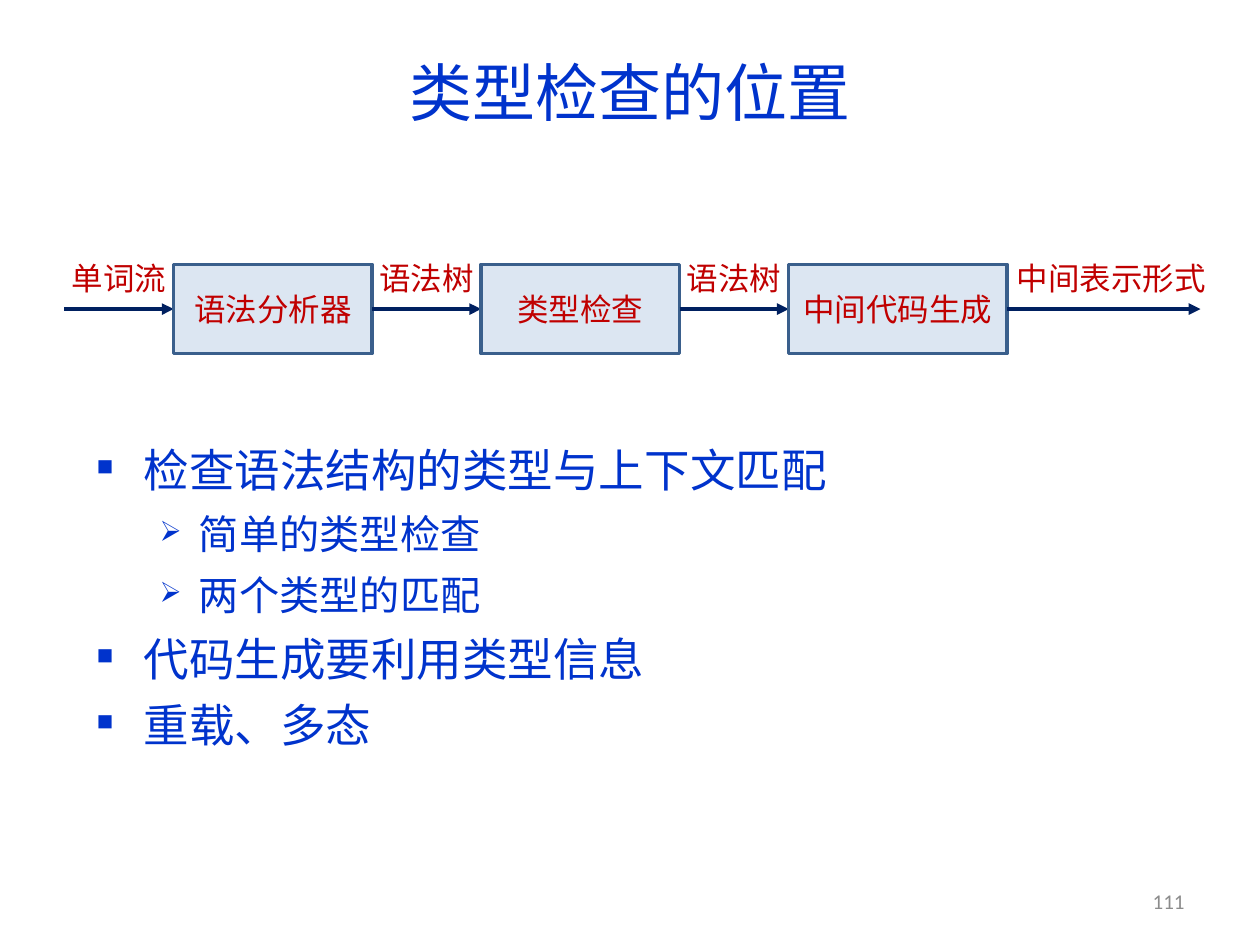
from lxml.etree import SubElement as Sub
from pptx import Presentation
from pptx.dml.color import RGBColor
from pptx.enum.shapes import MSO_CONNECTOR as Link, MSO_SHAPE as Shape
from pptx.enum.text import MSO_ANCHOR as Anchor, PP_ALIGN as Align
from pptx.oxml.ns import qn
from pptx.util import Cm, Pt

SANS = "Noto Sans CJK SC"
BLUE, RED, NAVY = "0033CC", "C00000", "002060"


def paint(item, hue):
    """Give a font colour or a solid fill its hex colour."""
    item.rgb = RGBColor.from_string(hue)


def add_run(para, text, size, hue, face=SANS):
    """Add one run with the same Latin and East Asian face."""
    run = para.add_run()
    run.text = text
    run.font.size = Pt(size)
    run.font.name = face
    paint(run.font.color, hue)
    Sub(run.font._element, qn("a:ea"), typeface=face)


def set_frame(shape, wrap=True, anchor=Anchor.MIDDLE):
    """Set up the text frame of a shape and return it."""
    frame = shape.text_frame
    frame.word_wrap = wrap
    frame.vertical_anchor = anchor
    return frame


def add_line(slide, box, text, size, hue, face=SANS, align=Align.CENTER, wrap=True):
    """Place one line of text in a box."""
    area = slide.shapes.add_textbox(*map(Cm, box))
    para = set_frame(area, wrap).paragraphs[0]
    para.alignment = align
    add_run(para, text, size, hue, face)


def add_stage(slide, box, text):
    """Place one compiler stage."""
    rect = slide.shapes.add_shape(Shape.RECTANGLE, *map(Cm, box))
    rect.shadow.inherit = False
    rect.fill.solid()
    paint(rect.fill.fore_color, "DCE6F2")
    paint(rect.line.color, "3A5F8C")
    rect.line.width = Pt(2)
    para = set_frame(rect, False).paragraphs[0]
    para.alignment = Align.CENTER
    add_run(para, text, 18, RED)


def add_arrow(slide, left, top, width):
    """Draw a level arrow that points right."""
    ends = map(Cm, (left, top, left + width, top))
    arrow = slide.shapes.add_connector(Link.STRAIGHT, *ends)
    paint(arrow.line.color, NAVY)
    arrow.line.width = Pt(2.25)
    Sub(arrow.line._get_or_add_ln(), qn("a:tailEnd"), type="triangle")
    Sub(arrow._element.spPr, qn("a:effectLst"))


def add_flow(slide, left, top, high):
    """Lay out arrows, their labels and the stages from left to right."""
    steps = [
        ("单词流", 2.2, 2.6, "语法分析器", 4),
        ("语法树", 2.2, 2.6, "类型检查", 4),
        ("语法树", 2.2, 2.6, "中间代码生成", 4.4),
        ("中间表示形式", 3.9, 4.6, None, 0),
    ]
    for label, gap, room, stage, width in steps:
        add_arrow(slide, left, top + high / 2, gap)
        add_line(slide, (left - 0.2, top - 0.33, room, 1.2), label, 18, RED, wrap=False)
        left += gap
        if stage:
            add_stage(slide, (left, top, width, high), stage)
        left += width


def add_points(slide, box):
    """Write the two-level bullet list."""
    points = [
        (0, "检查语法结构的类型与上下文匹配"),
        (1, "简单的类型检查"),
        (1, "两个类型的匹配"),
        (0, "代码生成要利用类型信息"),
        (0, "重载、多态"),
    ]
    styles = [("■", 50, 26, 0.95, 0.95), ("➢", 70, 23, 2.06, 0.79)]
    area = slide.shapes.add_textbox(*map(Cm, box))
    frame = set_frame(area, anchor=Anchor.TOP)
    for i, (level, text) in enumerate(points):
        mark, scale, size, indent, hang = styles[level]
        para = frame.add_paragraph() if i else frame.paragraphs[0]
        para.level = level
        props = para._p.get_or_add_pPr()
        props.set("marL", str(Cm(indent)))
        props.set("indent", str(-Cm(hang)))
        Sub(Sub(props, qn("a:buClr")), qn("a:srgbClr"), val=BLUE)
        Sub(props, qn("a:buSzPct"), val=str(scale * 1000))
        Sub(props, qn("a:buChar"), char=mark)
        para.line_spacing = 0.9
        para.space_before = Pt(5 if i else 0)
        para.space_after = Pt(5)
        add_run(para, text, size, BLUE)


def main():
    """Build the slide and save it."""
    deck = Presentation()
    deck.slide_width, deck.slide_height = Cm(25.4), Cm(19.05)
    slide = deck.slides.add_slide(deck.slide_layouts[6])
    add_line(slide, (1.27, 0.76, 22.86, 2.16), "类型检查的位置", 36, BLUE, "Noto Sans CJK JP")
    add_flow(slide, 1.3, 5.33, 1.8)
    add_points(slide, (1.7, 8.92, 15.8, 7.8))
    add_line(slide, (18.21, 17.65, 5.92, 1.02), "111", 12, "8C8C8C", "Calibri", Align.RIGHT)
    deck.save("out.pptx")


if __name__ == "__main__":
    main()
